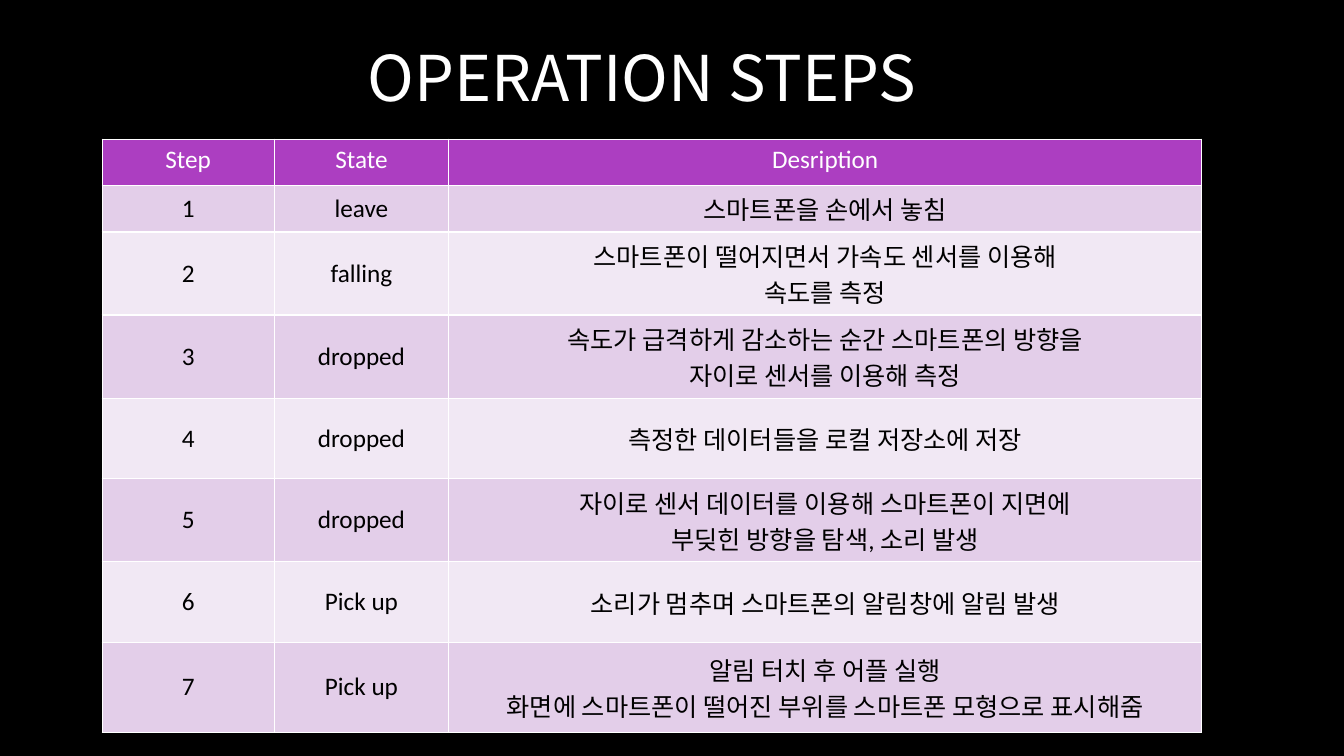
from lxml import etree
from pptx import Presentation
from pptx import util as u
from pptx.dml.color import RGBColor
from pptx.enum import text
from pptx.oxml import ns

BLACK = RGBColor(0x00, 0x00, 0x00)
WHITE = RGBColor(0xFF, 0xFF, 0xFF)
PURPLE = RGBColor(0xAC, 0x3E, 0xC1)
LILAC = RGBColor(0xE3, 0xCE, 0xE9)
PALE_LILAC = RGBColor(0xF1, 0xE8, 0xF4)

LATIN_FONT = "Calibri"
KOREAN_FONT = "Noto Sans CJK KR"

HEADER = ("Step", "State", "Desription")
STEPS = [
    ("leave", "스마트폰을 손에서 놓침"),
    ("falling", "스마트폰이 떨어지면서 가속도 센서를 이용해\n속도를 측정"),
    ("dropped", "속도가 급격하게 감소하는 순간 스마트폰의 방향을\n자이로 센서를 이용해 측정"),
    ("dropped", "측정한 데이터들을 로컬 저장소에 저장"),
    ("dropped", "자이로 센서 데이터를 이용해 스마트폰이 지면에\n부딪힌 방향을 탐색, 소리 발생"),
    ("Pick up", "소리가 멈추며 스마트폰의 알림창에 알림 발생"),
    ("Pick up", "알림 터치 후 어플 실행\n화면에 스마트폰이 떨어진 부위를 스마트폰 모형으로 표시해줌"),
]
COLUMN_WIDTHS = (12.8, 13, 56)
ROW_HEIGHTS = (6.13, 6.13, *[10.67] * 5, 11.87)


class Deck:
    """Builds slide elements; lengths are percentages of the slide's size."""

    def __init__(self):
        self.prs = Presentation()
        self.prs.slide_width = u.Inches(13.33)
        self.prs.slide_height = u.Inches(7.5)
        self.s = self.prs.slides.add_slide(self.prs.slide_layouts[5])
        fill = self.s.background.fill
        fill.solid()
        fill.fore_color.rgb = BLACK

    def x(self, share):
        return int(self.prs.slide_width * share / 100)

    def y(self, share):
        return int(self.prs.slide_height * share / 100)

    def set_text(self, tf, content, size, font, color):
        tf.text = content
        for p in tf.paragraphs:
            p.alignment = text.PP_ALIGN.CENTER
            for r in p.runs:
                r.font.size = u.Pt(size)
                r.font.name = font
                r.font.color.rgb = color
                ea = etree.SubElement(r._r.get_or_add_rPr(), ns.qn("a:ea"))
                ea.set("typeface", KOREAN_FONT)

    def title(self, content, left, top, width, height):
        sp = self.s.shapes.title
        sp.left, sp.top = self.x(left), self.y(top)
        sp.width, sp.height = self.x(width), self.y(height)
        self.set_text(sp.text_frame, content, 45, KOREAN_FONT, WHITE)
        sp.text_frame.vertical_anchor = text.MSO_ANCHOR.MIDDLE

    def borders(self, cell):
        tc_pr = cell._tc.get_or_add_tcPr()
        for side in "LRTB":
            ln = etree.SubElement(tc_pr, ns.qn(f"a:ln{side}"), w=str(u.Pt(1)))
            fill = etree.SubElement(ln, ns.qn("a:solidFill"))
            etree.SubElement(fill, ns.qn("a:srgbClr"), val=str(WHITE))

    def cell(self, cell, content, fill, color, anchor):
        self.set_text(cell.text_frame, content, 18, LATIN_FONT, color)
        cell.vertical_anchor = anchor
        self.borders(cell)
        cell.fill.solid()
        cell.fill.fore_color.rgb = fill

    def table(self, rows, left, top, widths, heights):
        table = self.s.shapes.add_table(
            len(heights), len(widths), self.x(left), self.y(top),
            self.x(sum(widths)), self.y(sum(heights))).table
        for column, width in zip(table.columns, widths):
            column.width = self.x(width)
        for i, (row, height) in enumerate(zip(table.rows, heights)):
            row.height = self.y(height)
            if i == 0:
                style = PURPLE, WHITE, text.MSO_ANCHOR.TOP
            else:
                band = LILAC if i % 2 else PALE_LILAC
                style = band, BLACK, text.MSO_ANCHOR.MIDDLE
            for cell, content in zip(row.cells, rows[i]):
                self.cell(cell, content, *style)


def main():
    deck = Deck()
    deck.title("OPERATION STEPS", 13, 3.2, 69.5, 13.7)
    numbered = [(str(n), *step) for n, step in enumerate(STEPS, 1)]
    deck.table([HEADER, *numbered], 7.6, 18.4, COLUMN_WIDTHS, ROW_HEIGHTS)
    deck.prs.save("out.pptx")


if __name__ == "__main__":
    main()
